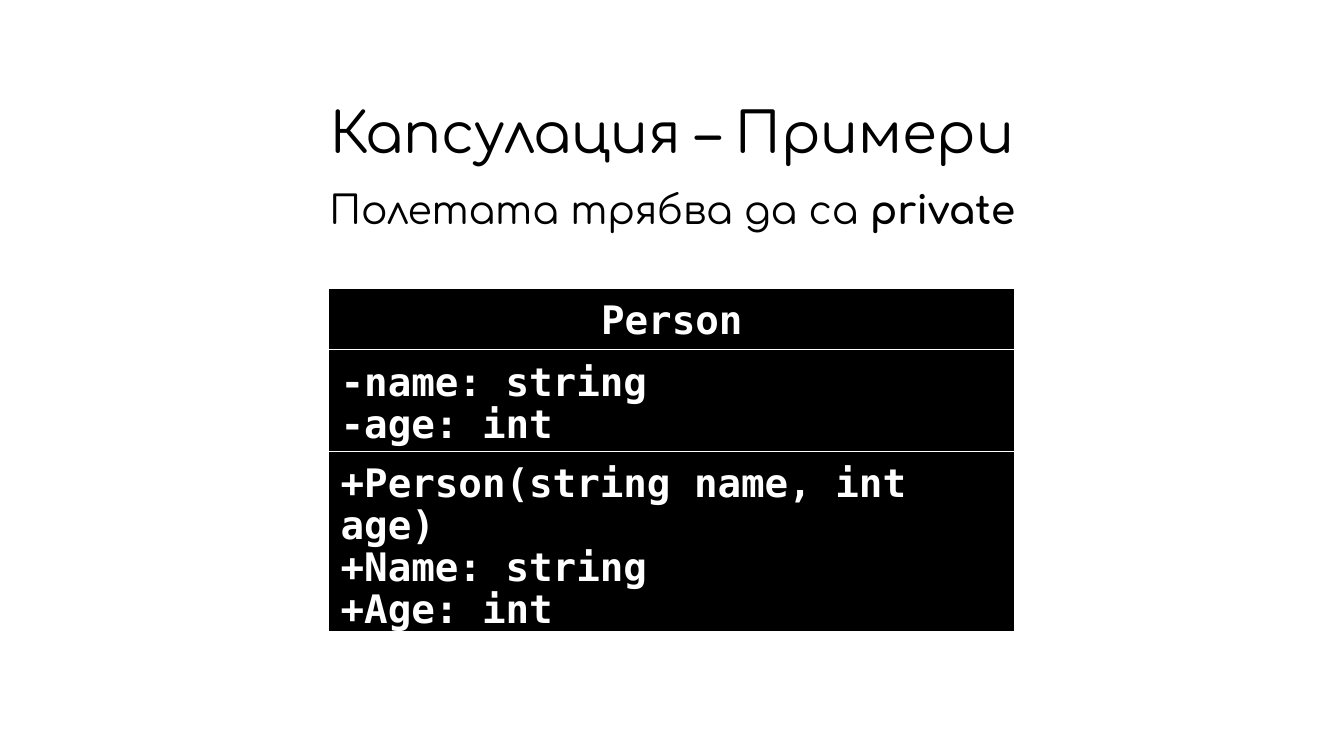
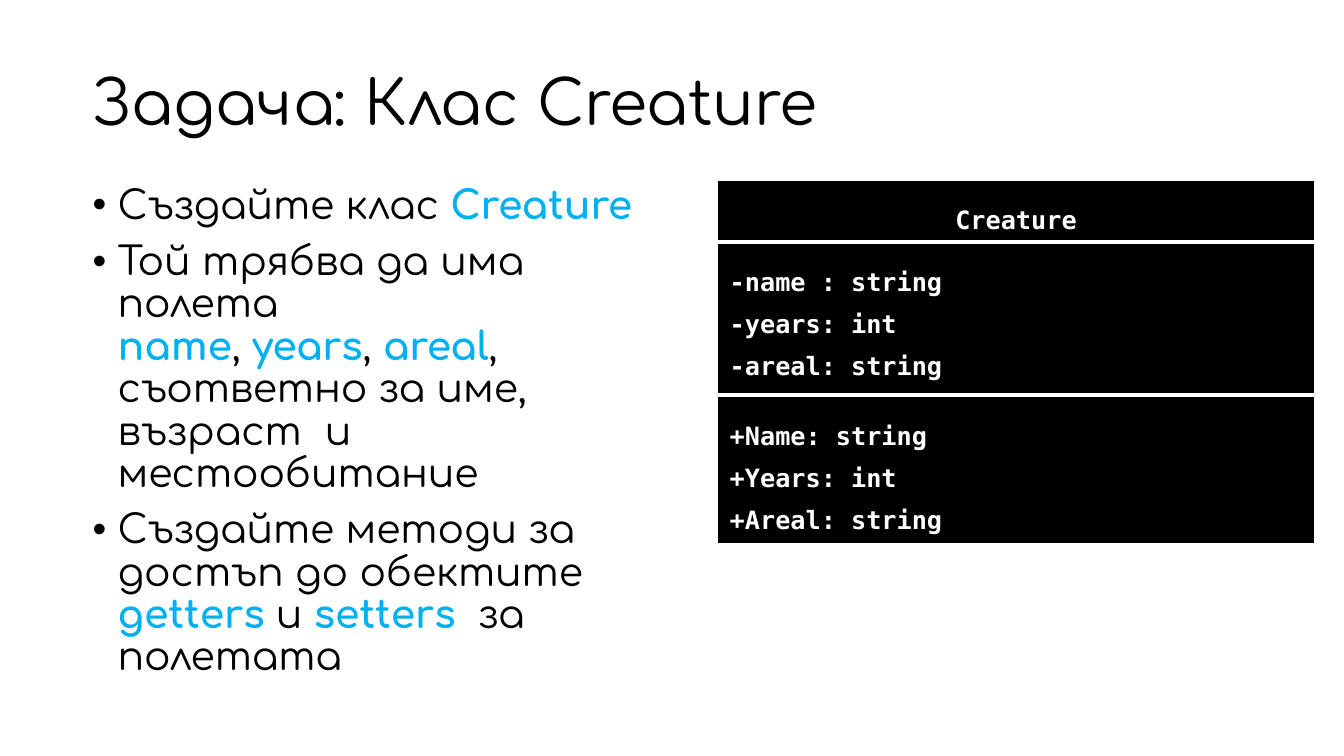
from lxml import etree
from pptx import Presentation
from pptx.dml.color import RGBColor
from pptx.enum.shapes import MSO_SHAPE
from pptx.enum.text import MSO_ANCHOR, PP_ALIGN
from pptx.oxml.ns import qn
from pptx.util import Inches, Pt

RECTANGLE = MSO_SHAPE.RECTANGLE
TOP, MIDDLE = MSO_ANCHOR.TOP, MSO_ANCHOR.MIDDLE
LEFT, CENTER = PP_ALIGN.LEFT, PP_ALIGN.CENTER

COLORS = {"ink": "000000", "paper": "FFFFFF", "accent": "00B0F0"}
TEXT_FONT, CODE_FONT = "Comfortaa", "DejaVu Sans Mono"
GRID_COLUMNS, GRID_ROWS = 40, 30


def color(name):
    return RGBColor.from_string(COLORS[name])


def set_format(target, values):
    for name, value in values.items():
        setattr(target, name, value)


class Deck:
    """Holds the shared style and the slide being built."""

    def __init__(self):
        self.presentation = Presentation()
        self.presentation.slide_width = Inches(13.333)
        self.presentation.slide_height = Inches(7.5)
        self.slide = None

    def new_slide(self):
        blank = self.presentation.slide_layouts[6]
        self.slide = self.presentation.slides.add_slide(blank)

    def place(self, column, row, columns, rows):
        """Turn grid units into lengths."""
        width = self.presentation.slide_width / GRID_COLUMNS
        height = self.presentation.slide_height / GRID_ROWS
        return (round(column * width), round(row * height),
                round(columns * width), round(rows * height))

    def fill_text(self, frame, lines, font, layout, highlight="ink"):
        """Fill a text frame; parts between asterisks are highlighted."""
        for index, line in enumerate(lines):
            paragraph = frame.add_paragraph() if index else frame.paragraphs[0]
            set_format(paragraph, layout)
            for position, part in enumerate(line.split("*")):
                marked = position % 2 == 1
                for piece_index, piece in enumerate(part.split("\n")):
                    if piece_index:
                        paragraph.add_line_break()
                    if not piece:
                        continue
                    run = paragraph.add_run()
                    run.text = piece
                    values = {key: font[key] for key in ("name", "size", "bold")}
                    if marked:
                        values["bold"] = True
                    set_format(run.font, values)
                    run.font.color.rgb = color(highlight if marked else font["color"])

    def text(self, box, lines, size, layout, anchor=TOP, highlight="ink"):
        frame = self.slide.shapes.add_textbox(*self.place(*box)).text_frame
        set_format(frame, {"word_wrap": True, "vertical_anchor": anchor})
        font = {"name": TEXT_FONT, "size": Pt(size), "bold": False, "color": "ink"}
        self.fill_text(frame, lines, font, layout, highlight)
        return frame

    def title(self, box, wording, size, alignment, line_spacing):
        layout = {"alignment": alignment, "line_spacing": line_spacing}
        self.text(box, [wording], size, layout, MIDDLE)

    def bullets(self, box, lines, size):
        layout = {"line_spacing": 0.9, "space_before": Pt(10)}
        frame = self.text(box, lines, size, layout, highlight="accent")
        indent = Inches(0.25)
        for paragraph in frame.paragraphs:
            properties = paragraph._p.get_or_add_pPr()
            properties.set("marL", str(indent))
            properties.set("indent", str(-indent))
            etree.SubElement(properties, qn("a:buFont")).set("typeface", "Arial")
            etree.SubElement(properties, qn("a:buChar")).set("char", "•")

    def class_diagram(self, column, row, columns, sections, size, gap=0):
        """Stack the name, the fields and the members of a class."""
        font = {"name": CODE_FONT, "size": Pt(size), "bold": True, "color": "paper"}
        sides = ("margin_left", "margin_top", "margin_right", "margin_bottom")
        for index, (rows, lines) in enumerate(sections):
            box = self.place(column, row, columns, rows)
            shape = self.slide.shapes.add_shape(RECTANGLE, *box)
            shape.shadow.inherit = False
            shape.fill.solid()
            shape.fill.fore_color.rgb = color("ink")
            shape.line.color.rgb = color("paper")
            shape.line.width = Pt(1)
            frame = shape.text_frame
            set_format(frame, {"word_wrap": True, "vertical_anchor": TOP})
            set_format(frame, dict.fromkeys(sides, Inches(0.12)))
            layout = {"alignment": LEFT if index else CENTER, "line_spacing": Pt(30)}
            self.fill_text(frame, lines, font, layout)
            row += rows + gap


def main():
    deck = Deck()

    # Encapsulation example
    deck.new_slide()
    deck.text((2.76, 7.16, 34.5, 2.64), ["Полетата трябва да са *private*"], 28,
              {"alignment": CENTER, "space_before": Pt(10)})
    deck.title((2.76, 3.76, 34.5, 3.36), "Капсулация – Примери", 40, CENTER, Pt(40))
    deck.class_diagram(9.78, 11.44, 20.43, [
        (2.44, ["Person"]),
        (4.04, ["-name: string", "-age: int"]),
        (7.16, ["+Person(string name, int age)", "+Name: string", "+Age: int"]),
    ], 28)

    # Creature task
    deck.new_slide()
    deck.bullets((2.46, 7.16, 18.09, 21.4), [
        "Създайте клас *Creature*",
        "Той трябва да има полета\n*name*, *years*, *areal*, "
        "съответно за име, възраст  и местообитание",
        "Създайте методи за достъп до обектите *getters *и *setters * за полетата",
    ], 28)
    deck.title((2.46, 1.6, 36.42, 5.2), "Задача: Клас Creature", 44, LEFT, 0.9)
    deck.class_diagram(21.36, 7.16, 17.76, [
        (2.4, ["Creature"]),
        (6, ["-name : string", "-years: int", "-areal: string"]),
        (5.84, ["+Name: string", "+Years: int", "+Areal: string"]),
    ], 18, gap=0.08)

    deck.presentation.save("out.pptx")


if __name__ == "__main__":
    main()
